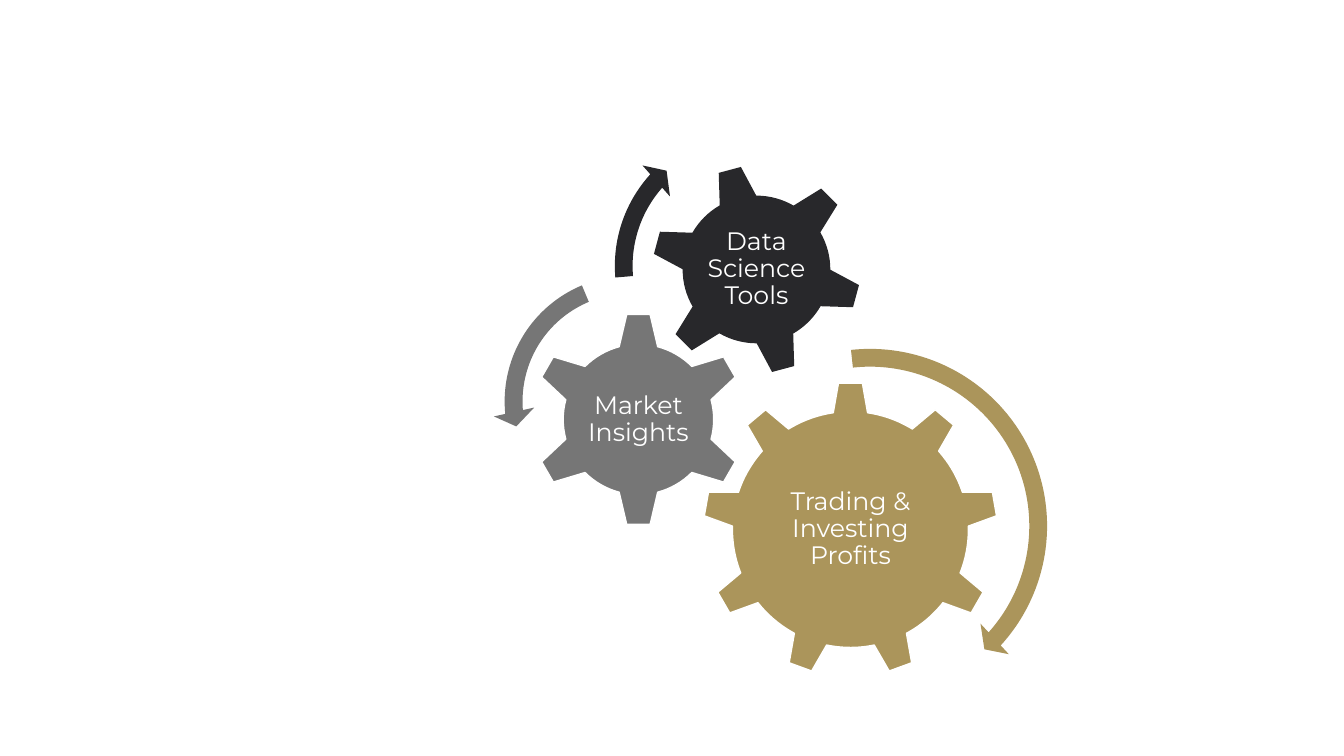
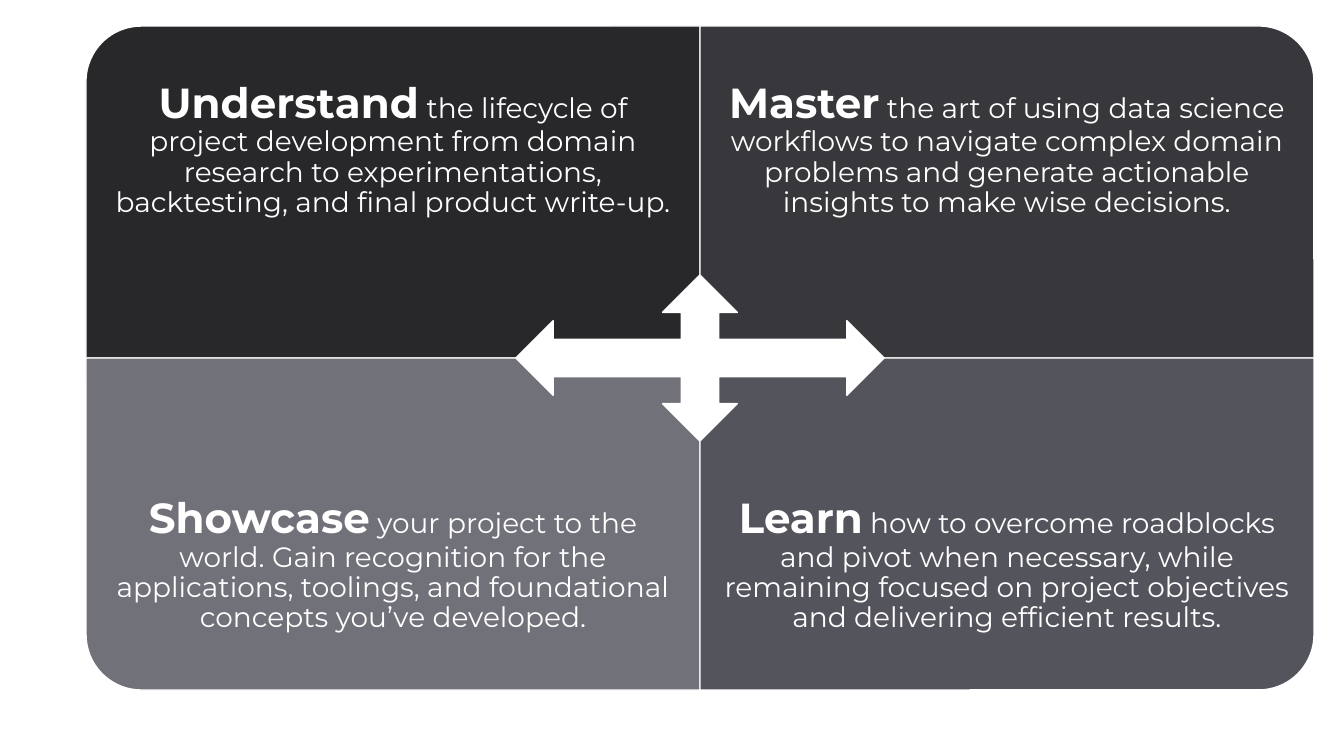
"""Build two slides: interlocking gears and a four-part matrix."""
from dataclasses import dataclass

from pptx import Presentation
from pptx.dml.color import RGBColor
from pptx.enum.shapes import MSO_SHAPE
from pptx.enum.text import MSO_ANCHOR, PP_ALIGN
from pptx.util import Emu, Pt


@dataclass(frozen=True)
class Theme:
    font: str = "Montserrat"
    white: str = "FFFFFF"
    ink: str = "28282B"
    gray: str = "767676"
    gold: str = "AB955B"
    charcoal: str = "38383C"
    slate: str = "54545C"
    silver: str = "717179"
    label_size: int = 18
    body_size: int = 20
    lead_size: int = 30
    outline: int = 1
    line_spacing: float = 0.9


THEME = Theme()
SLIDE_SIZE = (1344, 756)
PIXEL = 12192000 / SLIDE_SIZE[0]

GEARS = [
    dict(label="Trading & Investing Profits", kind=MSO_SHAPE.GEAR_9, at=(703, 382), size=295,
         label_size=(176, 152), fill=THEME.gold, line=THEME.white, rotation=0),
    dict(label="Market Insights", kind=MSO_SHAPE.GEAR_6, at=(531, 312), size=215,
         label_size=(107, 106), fill=THEME.gray, line=THEME.white, rotation=0),
    dict(label="Data Science Tools", kind=MSO_SHAPE.GEAR_6, at=(651, 164), size=211,
         label_size=(118, 118), fill=THEME.ink, line=None, rotation=345),
]
TURN_ARROWS = [
    dict(kind=MSO_SHAPE.CIRCULAR_ARROW, at=(681, 337), size=378, fill=THEME.gold,
         band=4.7, angles=(4.98, 42.17, 263.85), head=5.5),
    dict(kind=MSO_SHAPE.LEFT_CIRCULAR_ARROW, at=(493, 264), size=275, fill=THEME.gray,
         band=6.5, angles=(7.17, 174.82, 247.3), head=7.5),
    dict(kind=MSO_SHAPE.CIRCULAR_ARROW, at=(603, 118), size=296, fill=THEME.ink,
         band=6, angles=(6.57, 221.9, 175.14), head=7),
]
QUADRANTS = [
    [("Understand", " the lifecycle of project development from domain research to "
      "experimentations, backtesting, and final product write-up.", THEME.ink, 270),
     ("Master", " the art of using data science workflows to navigate complex domain "
      "problems and generate actionable insights to make wise decisions.", THEME.charcoal, 0)],
    [("Showcase", " your project to the world. Gain recognition for the applications, "
      "toolings, and foundational concepts you’ve developed.", THEME.silver, 180),
     ("Learn", " how to overcome roadblocks and pivot when necessary, while remaining "
      "focused on project objectives and delivering efficient results.", THEME.slate, 90)],
]
MATRIX_LEFT, MATRIX_TOP = 86, 26
PANEL_WIDTH, PANEL_HEIGHT = 614, 332
TEXT_HEIGHT = PANEL_HEIGHT * 3 // 4


def emu(pixels):
    """Turn pixels into EMU."""
    return Emu(round(pixels * PIXEL))


def centered(center, size):
    """Return left, top, width and height in EMU around a center."""
    (x, y), (width, height) = center, size
    return [emu(value) for value in (x - width / 2, y - height / 2, width, height)]


def add_shape(slide, kind, center, size, *, fill, line=None, rotation=0):
    """Add a flat preset shape around a center."""
    shape = slide.shapes.add_shape(kind, *centered(center, size))
    shape.shadow.inherit = False
    shape.rotation = rotation
    shape.fill.solid()
    shape.fill.fore_color.rgb = RGBColor.from_string(fill)
    if line:
        shape.line.color.rgb = RGBColor.from_string(line)
        shape.line.width = Pt(THEME.outline)
    else:
        shape.line.fill.background()
    return shape


def add_text(slide, spans, center, size, *, inset):
    """Add a centered paragraph of (text, size, bold) spans."""
    frame = slide.shapes.add_textbox(*centered(center, size)).text_frame
    frame.word_wrap = True
    frame.vertical_anchor = MSO_ANCHOR.MIDDLE
    frame.margin_left = frame.margin_right = emu(inset)
    frame.margin_top = frame.margin_bottom = emu(inset)
    para = frame.paragraphs[0]
    para.alignment = PP_ALIGN.CENTER
    para.line_spacing = THEME.line_spacing
    for text, points, bold in spans:
        span = para.add_run()
        span.text = text
        span.font.name = THEME.font
        span.font.size = Pt(points)
        span.font.bold = bold
        span.font.color.rgb = RGBColor.from_string(THEME.white)


def square(item):
    """Return the center and size of a square item."""
    side = item["size"]
    return [start + side / 2 for start in item["at"]], (side, side)


def build_gears(slide):
    """Draw the labelled gears and their turning arrows."""
    for gear in GEARS:
        center, size = square(gear)
        add_shape(slide, gear["kind"], center, size, fill=gear["fill"],
                  line=gear["line"], rotation=gear["rotation"])
        add_text(slide, [(gear["label"], THEME.label_size, False)], center,
                 gear["label_size"], inset=3)
    for turn in TURN_ARROWS:
        arrow = add_shape(slide, turn["kind"], *square(turn), fill=turn["fill"])
        values = [turn["band"] / 100, *(angle * 0.6 for angle in turn["angles"]),
                  turn["head"] / 100]
        for index, value in enumerate(values):
            arrow.adjustments[index] = value


def build_matrix(slide):
    """Draw the four panels and the crossing arrow."""
    for row, panels in enumerate(QUADRANTS):
        for column, (lead, body, fill, rotation) in enumerate(panels):
            x = MATRIX_LEFT + (column + 0.5) * PANEL_WIDTH
            y = MATRIX_TOP + (row + 0.5) * PANEL_HEIGHT
            size = (PANEL_WIDTH, PANEL_HEIGHT)
            if rotation % 180:
                size = size[::-1]
            add_shape(slide, MSO_SHAPE.ROUND_1_RECTANGLE, (x, y), size, fill=fill,
                      line=THEME.white, rotation=rotation)
            shift = (row - 0.5) * (PANEL_HEIGHT - TEXT_HEIGHT)
            add_text(slide, [(lead, THEME.lead_size, True), (body, THEME.body_size, False)],
                     (x, y + shift), (PANEL_WIDTH, TEXT_HEIGHT), inset=23)
    add_shape(slide, MSO_SHAPE.QUAD_ARROW,
              (MATRIX_LEFT + PANEL_WIDTH, MATRIX_TOP + PANEL_HEIGHT),
              (PANEL_WIDTH * 0.6, PANEL_HEIGHT * 0.5), fill=THEME.white, line=THEME.white)


deck = Presentation()
deck.slide_width, deck.slide_height = map(emu, SLIDE_SIZE)
blank = deck.slide_layouts[6]
for build in (build_gears, build_matrix):
    build(deck.slides.add_slide(blank))
deck.save("out.pptx")
